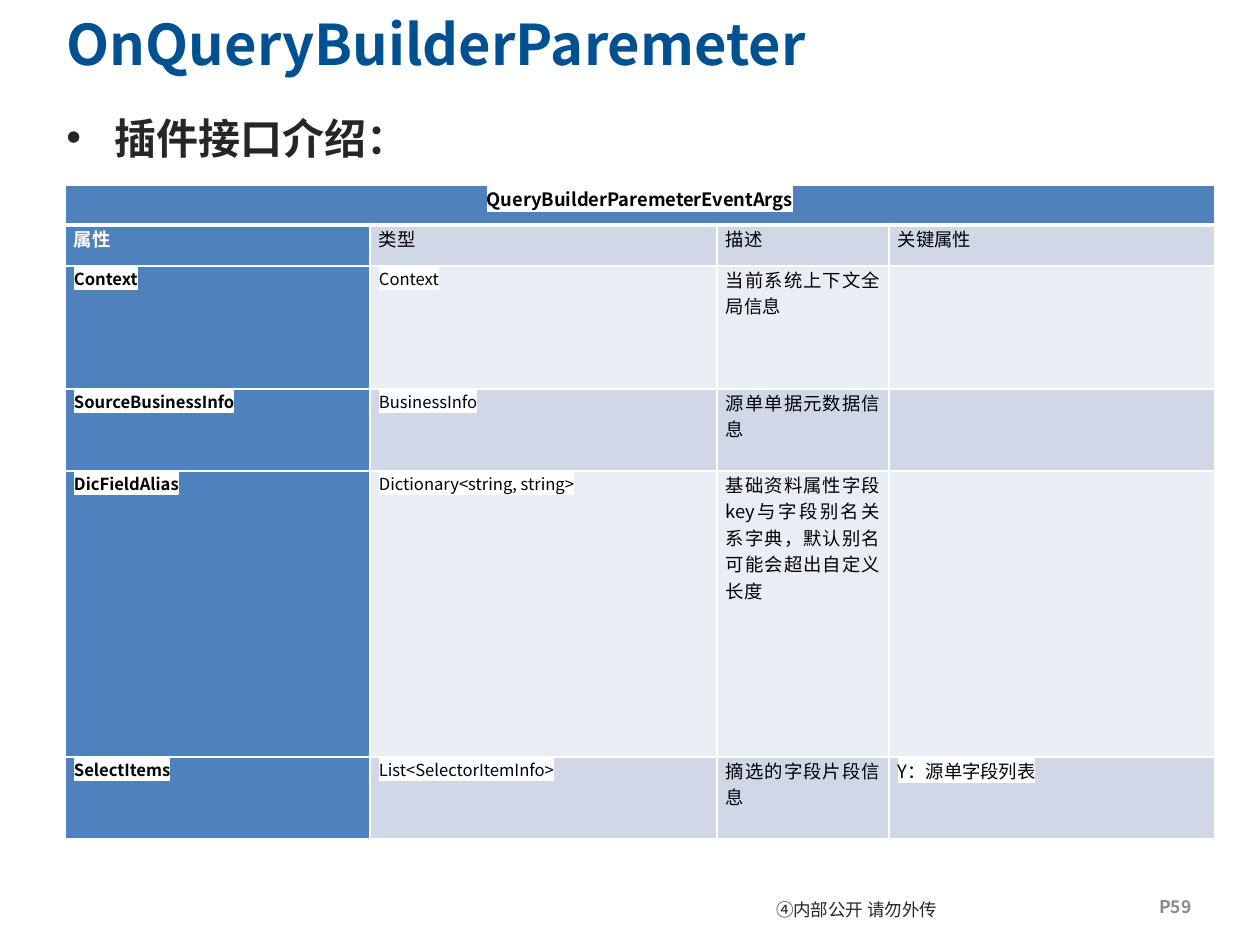
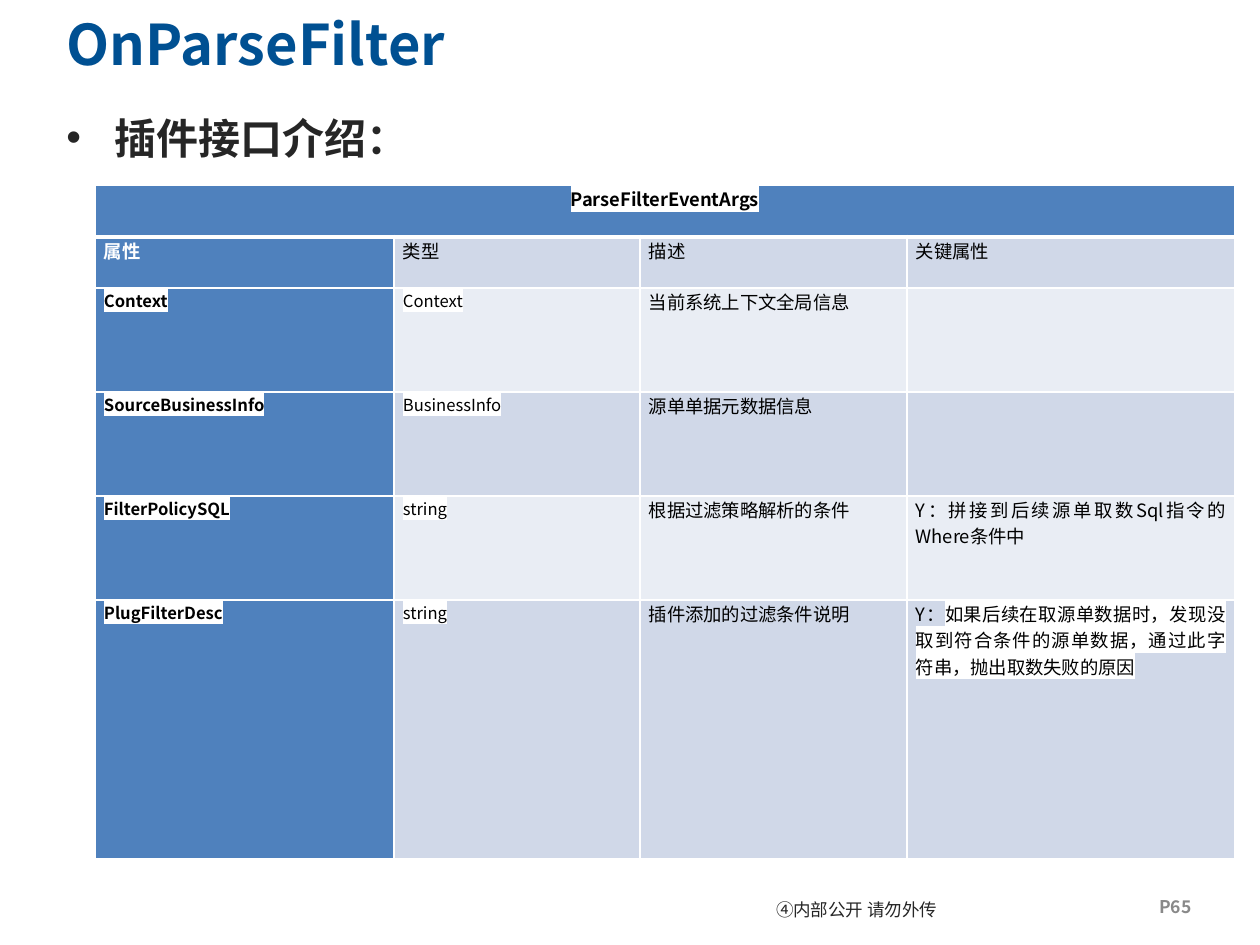
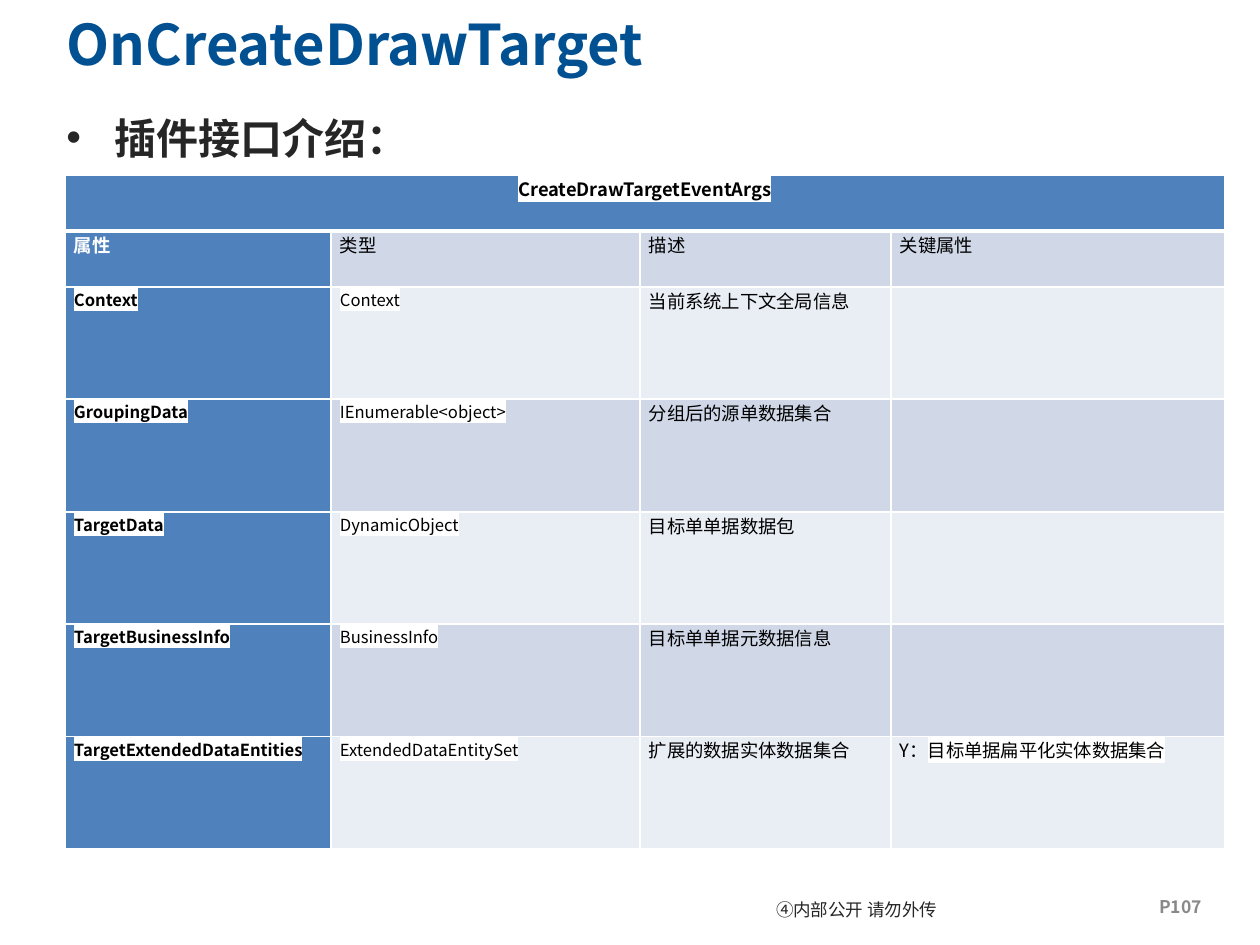
from itertools import product

from lxml.etree import SubElement
from pptx import Presentation
from pptx.dml.color import RGBColor
from pptx.enum.text import MSO_ANCHOR as Anchor, MSO_AUTO_SIZE as AutoSize, PP_ALIGN as Align
from pptx.oxml import parse_xml
from pptx.oxml.ns import nsdecls, qn
from pptx.util import Pt

PX = 914400 / 126
FONT = "Noto Sans CJK SC"
COLORS = {
    "title": "005092", "text": "262626", "number": "898989", "black": "000000",
    "white": "FFFFFF", "head": "4F81BD", "band": "D0D8E8", "light": "E9EDF4",
}
TITLE_BOX = (54, 0, 922, 86)
BODY_BOX = (54, 106, 1149, 708)
NOTICE_BOX = (745, 885, 223, 45)
NUMBER_BOX = (1147, 890, 113, 34)
CELL_INSET = 9
LABELS = ("属性", "类型", "描述", "关键属性")
CONTEXT = ("Context", "Context", "当前系统上下文全局信息")
SOURCE_INFO = ("SourceBusinessInfo", "BusinessInfo", "源单单据元数据信息")

PAGES = [
    {
        "title": "OnQueryBuilderParemeter", "number": "P59",
        "args": "QueryBuilderParemeterEventArgs", "origin": (65, 185),
        "columns": (305, 347, 172, 326), "heights": (40, 41, 123, 82, 286, 82),
        "rows": [
            CONTEXT,
            SOURCE_INFO,
            ("DicFieldAlias", "Dictionary<string, string>",
             "基础资料属性字段key与字段别名关系字典，默认别名可能会超出自定义长度"),
            ("SelectItems", "List<SelectorItemInfo>", "摘选的字段片段信息",
             "", "Y：源单字段列表"),
        ],
    },
    {
        "title": "OnParseFilter", "number": "P65",
        "args": "ParseFilterEventArgs", "origin": (95, 185),
        "columns": (299, 246, 267, 328), "heights": (52, 51, 104, 104, 104, 259),
        "rows": [
            CONTEXT,
            SOURCE_INFO,
            ("FilterPolicySQL", "string", "根据过滤策略解析的条件",
             "Y：拼接到后续源单取数Sql指令的Where条件中"),
            ("PlugFilterDesc", "string", "插件添加的过滤条件说明", "Y：",
             "如果后续在取源单数据时，发现没取到符合条件的源单数据，通过此字符串，抛出取数失败的原因"),
        ],
    },
    {
        "title": "OnCreateDrawTarget", "number": "P107",
        "args": "CreateDrawTargetEventArgs", "origin": (65, 175),
        "columns": (266, 309, 251, 334), "heights": (56, 56, 112, 113, 112, 113, 112),
        "rows": [
            CONTEXT,
            ("GroupingData", "IEnumerable<object>", "分组后的源单数据集合"),
            ("TargetData", "DynamicObject", "目标单单据数据包"),
            ("TargetBusinessInfo", "BusinessInfo", "目标单单据元数据信息"),
            ("TargetExtendedDataEntities", "ExtendedDataEntitySet",
             "扩展的数据实体数据集合", "Y：", "目标单据扁平化实体数据集合"),
        ],
    },
]


def emu(px):
    """Turn px into EMU."""
    return round(px * PX)


def rgb(name):
    """Look up a named colour."""
    return RGBColor.from_string(COLORS[name])


def add_span(para, text, size, color, bold=False, marked=False):
    """Add one formatted run, marked with a white highlight if asked."""
    span = para.add_run()
    span.text = text
    span.font.size, span.font.bold = Pt(size), bold
    span.font.color.rgb = rgb(color)
    span.font.name = FONT
    props = span.font._element
    props.find(qn("a:latin")).addnext(
        parse_xml(f'<a:ea {nsdecls("a")} typeface="{FONT}"/>'))
    if marked:
        props.find(qn("a:solidFill")).addnext(parse_xml(
            f'<a:highlight {nsdecls("a")}><a:srgbClr val="{COLORS["white"]}"/></a:highlight>'))


def add_text_box(page, box):
    """Add a wrapping text box and return its frame and first paragraph."""
    frame = page.shapes.add_textbox(*map(emu, box)).text_frame
    frame.word_wrap = True
    return frame, frame.paragraphs[0]


def set_title(page, box, text):
    """Place and format the title placeholder."""
    title = page.shapes.title
    title.left, title.top, title.width, title.height = map(emu, box)
    frame = title.text_frame
    frame.word_wrap, frame.auto_size = True, AutoSize.NONE
    frame.vertical_anchor = Anchor.MIDDLE
    para = frame.paragraphs[0]
    para.alignment = Align.LEFT
    add_span(para, text, 32, "title", bold=True)


def add_heading(page, box):
    """Add the bulleted heading above the table."""
    para = add_text_box(page, box)[1]
    para.space_before = Pt(4.8)
    props = para._p.get_or_add_pPr()
    props.set("marL", str(emu(48)))
    props.set("indent", str(emu(-48)))
    SubElement(props, qn("a:buFont")).set("typeface", "Arial")
    SubElement(props, qn("a:buChar")).set("char", "•")
    add_span(para, "插件接口介绍：", 24, "text", bold=True)


def add_footer(page, notice_box, number_box, number):
    """Add the confidentiality notice and the page number."""
    frame, para = add_text_box(page, notice_box)
    frame.vertical_anchor = Anchor.MIDDLE
    frame.margin_left = frame.margin_right = emu(10)
    frame.margin_top = frame.margin_bottom = emu(1)
    para.alignment, para.line_spacing = Align.CENTER, Pt(14)
    add_span(para, "④内部公开 请勿外传", 10, "text")
    frame, para = add_text_box(page, number_box)
    frame.auto_size = AutoSize.SHAPE_TO_FIT_TEXT
    add_span(para, number, 10, "number", bold=True)


def style_cell(cell, fill, top=1, bottom=1):
    """Set the fill, insets and white borders of a cell."""
    cell.margin_left = cell.margin_right = emu(CELL_INSET)
    cell.margin_top = cell.margin_bottom = 0
    cell.fill.solid()
    cell.fill.fore_color.rgb = rgb(fill)
    props = cell._tc.get_or_add_tcPr()
    for place, (side, width) in enumerate(zip("LRTB", (1, 1, top, bottom))):
        props.insert(place, parse_xml(
            f'<a:ln{side} {nsdecls("a")} w="{Pt(width)}"><a:solidFill>'
            f'<a:srgbClr val="{COLORS["white"]}"/></a:solidFill></a:ln{side}>'))


def fill_row(cells, values):
    """Write name, type, description and key notes of one property."""
    name, kind, description, *notes = values
    paras = [cell.text_frame.paragraphs[0] for cell in cells]
    for para in paras:
        para.alignment = Align.JUSTIFY
    add_span(paras[0], name, 9.5, "black", bold=True, marked=True)
    add_span(paras[1], kind, 9.5, "black", marked=True)
    add_span(paras[2], description, 10.5, "black")
    for place, note in enumerate(notes):
        if note:
            add_span(paras[3], note, 10.5, "black", marked=place == 1)


def add_property_table(page, origin, columns, heights, args, rows):
    """Add the table of event argument properties."""
    box = (*origin, sum(columns), sum(heights))
    table = page.shapes.add_table(len(heights), len(columns), *map(emu, box)).table
    table.first_row = table.horz_banding = False
    for column, width in zip(table.columns, columns):
        column.width = emu(width)
    for row, height in zip(table.rows, heights):
        row.height = emu(height)
    for r, c in product(range(len(heights)), range(len(columns))):
        fill = "head" if r == 0 or c == 0 else "band" if r % 2 else "light"
        style_cell(table.cell(r, c), fill, top=3 if r == 1 else 1, bottom=1 if r else 3)
    header = table.cell(0, 0)
    header.merge(table.cell(0, len(columns) - 1))
    para = header.text_frame.paragraphs[0]
    para.alignment = Align.CENTER
    add_span(para, args, 10.5, "black", bold=True, marked=True)
    for c, label in enumerate(LABELS):
        para = table.cell(1, c).text_frame.paragraphs[0]
        para.alignment = Align.JUSTIFY
        add_span(para, label, 10.5, "black" if c else "white", bold=c == 0)
    for r, values in enumerate(rows, start=2):
        fill_row(table.rows[r].cells, values)


def add_interface_page(deck, title, number, **table):
    """Add one plug-in interface slide."""
    page = deck.slides.add_slide(deck.slide_layouts[5])
    add_footer(page, NOTICE_BOX, NUMBER_BOX, number)
    add_heading(page, BODY_BOX)
    set_title(page, TITLE_BOX, title)
    add_property_table(page, **table)


def main():
    """Build and save the deck."""
    deck = Presentation()
    deck.slide_width, deck.slide_height = emu(1260), emu(945)
    for content in PAGES:
        add_interface_page(deck, **content)
    deck.save("out.pptx")


if __name__ == "__main__":
    main()
